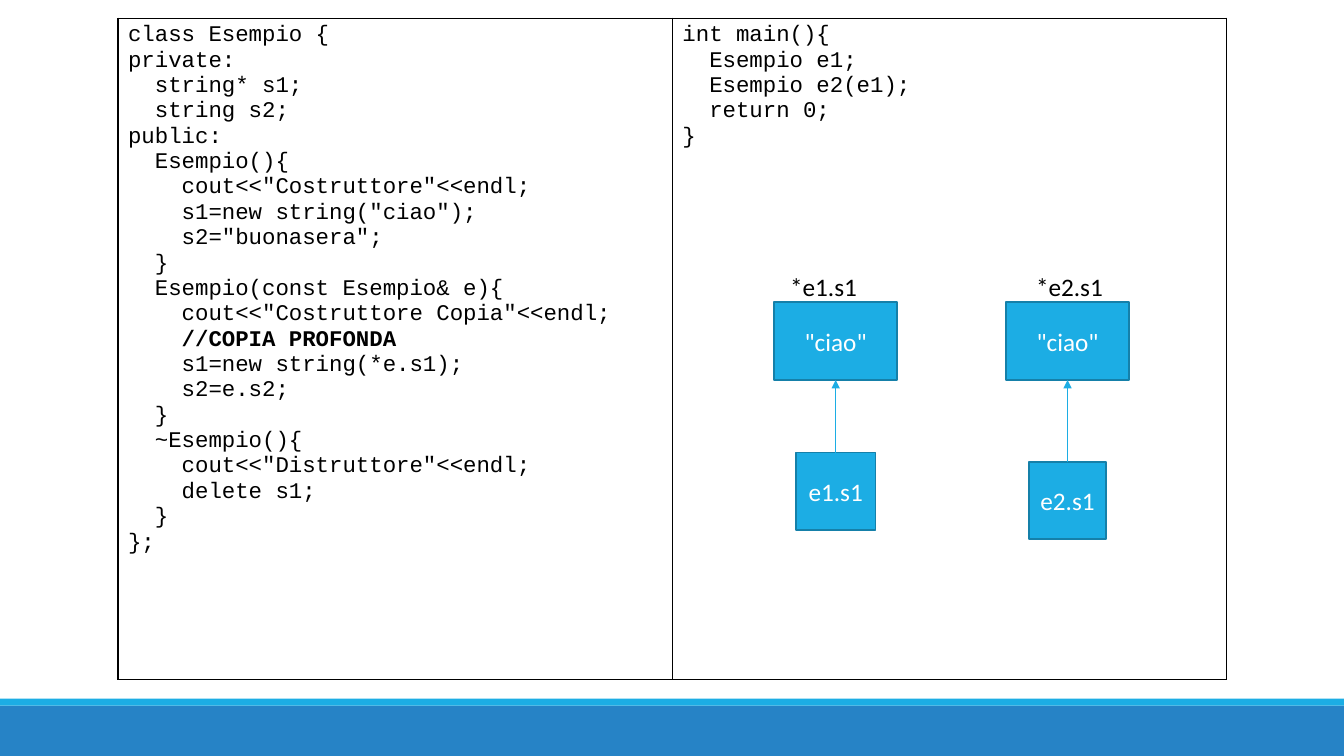
from lxml.etree import SubElement
from pptx import Presentation
from pptx.dml.color import RGBColor
from pptx.enum.shapes import MSO_CONNECTOR as Connector, MSO_SHAPE as Shape
from pptx.enum.text import MSO_ANCHOR as Anchor, PP_ALIGN as Align
from pptx.oxml.ns import qn
from pptx.util import Inches, Pt

SLIDE_W, SLIDE_H = Inches(13.33), Inches(7.5)
COL, ROW = SLIDE_W / 100, SLIDE_H / 100  # grid of 100 columns by 100 rows

BLACK = RGBColor(0x00, 0x00, 0x00)
WHITE = RGBColor(0xFF, 0xFF, 0xFF)
SKY = RGBColor(0x1C, 0xAD, 0xE4)
TEAL = RGBColor(0x15, 0x80, 0xA9)
BLUE = RGBColor(0x26, 0x83, 0xC6)

CLASS_CODE = """class Esempio {
private:
  string* s1;
  string s2;
public:
  Esempio(){
    cout<<"Costruttore"<<endl;
    s1=new string("ciao");
    s2="buonasera";
  }
  Esempio(const Esempio& e){
    cout<<"Costruttore Copia"<<endl;
    //COPIA PROFONDA
    s1=new string(*e.s1);
    s2=e.s2;
  }
  ~Esempio(){
    cout<<"Distruttore"<<endl;
    delete s1;
  }
};"""

MAIN_CODE = """int main(){
  Esempio e1;
  Esempio e2(e1);
  return 0;
}"""

# object name, centre column, pointer top, pointer width, label left
OBJECTS = [
    ("e1", 62.18, 59.87, 5.92, 58.05),
    ("e2", 79.43, 61.07, 5.78, 76.35),
]
BOX_H = 10.27


def area(left, top, width, height):
    """Turn grid columns and rows into slide lengths."""
    return [int(n) for n in (left * COL, top * ROW, width * COL, height * ROW)]


def write(frame, text, size=18, font="Calibri", color=BLACK, align=Align.LEFT):
    """Write one paragraph per line; comment lines of code are bold."""
    for number, line in enumerate(text.split("\n")):
        paragraph = frame.add_paragraph() if number else frame.paragraphs[0]
        paragraph.alignment = align
        run = paragraph.add_run()
        run.text = line
        run.font.name, run.font.size = font, Pt(size)
        run.font.color.rgb = color
        run.font.bold = line.lstrip().startswith("//")


def add_rect(slide, place, fill, outline=None):
    rect = slide.shapes.add_shape(Shape.RECTANGLE, *area(*place))
    rect.shadow.inherit = False
    rect.fill.solid()
    rect.fill.fore_color.rgb = fill
    if outline is None:
        rect.line.fill.background()
    else:
        rect.line.color.rgb = outline
        rect.line.width = Pt(1.25)
    return rect


def add_memory_box(slide, text, center, top, width):
    box = add_rect(slide, (center - width / 2, top, width, BOX_H), SKY, TEAL)
    frame = box.text_frame
    frame.word_wrap = True
    frame.vertical_anchor = Anchor.MIDDLE
    frame.margin_left = frame.margin_right = Inches(0.05)
    write(frame, text, color=WHITE, align=Align.CENTER)
    return box


def add_label(slide, text, place):
    frame = slide.shapes.add_textbox(*area(*place)).text_frame
    frame.word_wrap = True
    write(frame, text)


def add_arrow(slide, pointer, target):
    """Join the top of the pointer to the bottom of its target."""
    arrow = slide.shapes.add_connector(Connector.STRAIGHT, 0, 0, 0, 0)
    arrow.begin_connect(pointer, 0)
    arrow.end_connect(target, 2)
    arrow.line.color.rgb = SKY
    arrow.line.width = Pt(1)
    SubElement(arrow.line._get_or_add_ln(), qn("a:tailEnd"), type="triangle")
    SubElement(arrow._element.spPr, qn("a:effectLst"))


def add_borders(cell):
    properties = cell._tc.get_or_add_tcPr()
    for side in ("lnL", "lnR", "lnT", "lnB"):
        border = SubElement(properties, qn(f"a:{side}"), w=str(Pt(1)))
        fill = SubElement(border, qn("a:solidFill"))
        SubElement(fill, qn("a:srgbClr"), val=str(BLACK))


def add_code_table(slide, place, listings):
    table = slide.shapes.add_table(1, len(listings), *area(*place)).table
    table.first_row = table.horz_banding = False
    for cell, code in zip(table.iter_cells(), listings):
        add_borders(cell)
        cell.fill.solid()
        cell.fill.fore_color.rgb = WHITE
        write(cell.text_frame, code, size=16, font="Courier New")


def main():
    deck = Presentation()
    deck.slide_width, deck.slide_height = SLIDE_W, SLIDE_H
    slide = deck.slides.add_slide(deck.slide_layouts[6])

    # Footer bands
    add_rect(slide, (0, 93.33, 100, 6.67), BLUE)
    add_rect(slide, (0, 92.4, 100, 0.93), SKY)

    # Code side by side
    add_code_table(slide, (8.78, 2.4, 82.5, 87.47), [CLASS_CODE, MAIN_CODE])

    # Each object's pointer and the string it points to
    for name, center, pointer_top, pointer_width, label_left in OBJECTS:
        pointer = add_memory_box(slide, f"{name}.s1", center, pointer_top, pointer_width)
        target = add_memory_box(slide, '"ciao"', center, 40, 9.15)
        add_arrow(slide, pointer, target)
        add_label(slide, f"*{name}.s1", (label_left, 35.2, 8.7, 9.47))

    deck.save("out.pptx")


if __name__ == "__main__":
    main()
